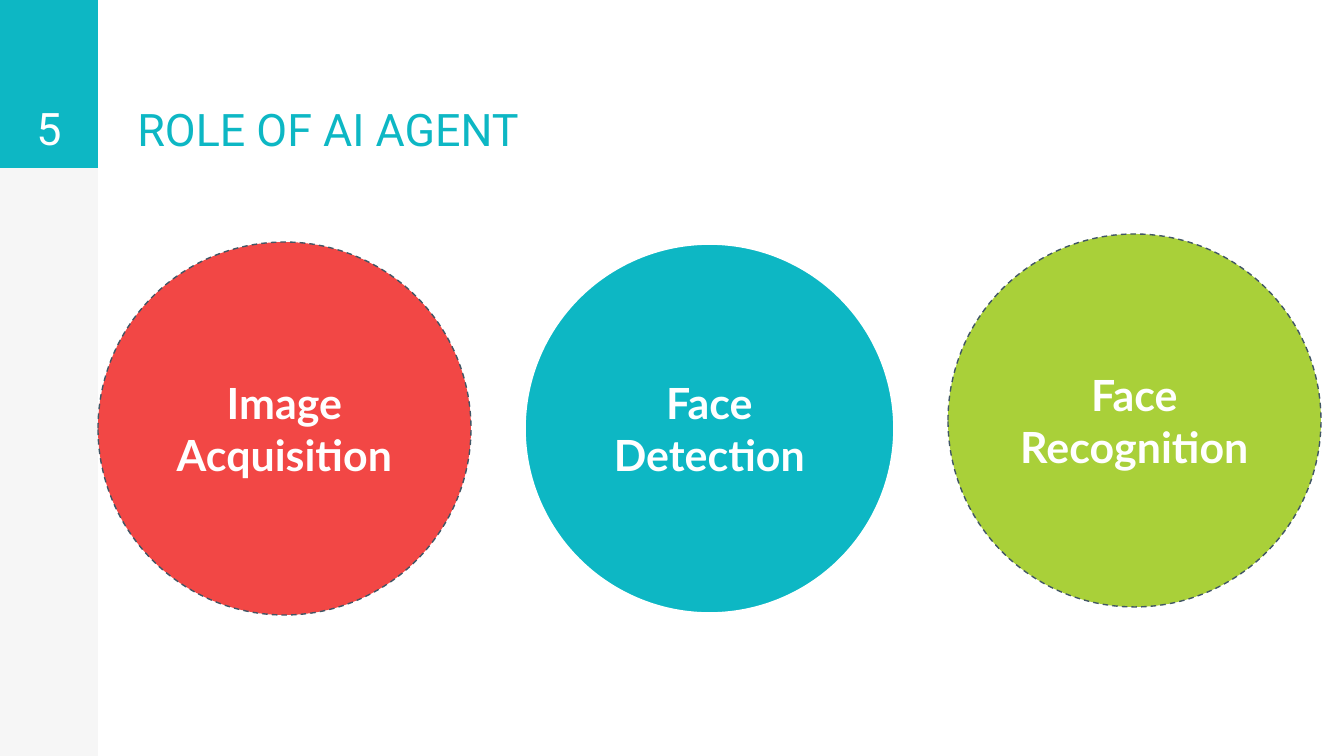
from pptx import Presentation
from pptx.dml.color import RGBColor
from pptx.enum.dml import MSO_LINE
from pptx.enum.shapes import MSO_SHAPE as SHAPE
from pptx.enum.text import MSO_ANCHOR as ANCHOR, PP_ALIGN as ALIGN
from pptx.util import Inches, Pt

# Content
TEAL, WHITE, SLATE = "0DB7C4", "FFFFFF", "415665"
TITLE = "ROLE OF AI AGENT"
NUMBER = "5"
SIDEBAR = [("F6F6F6", 756), (TEAL, 168)]  # colour, height
# text, left, top, fill, line colour, line width, dash
CIRCLES = [
    ("Image Acquisition", 98, 242, "F24745", SLATE, 0.75, MSO_LINE.DASH),
    ("Face Detection", 523, 242, TEAL, WHITE, 3, None),
    ("Face Recognition", 948, 234, "A9D039", SLATE, 0.75, MSO_LINE.DASH),
]
BAR_W, HEAD_H, DIAMETER = 98, 168, 373


def px(n):
    return Inches(n / 134.4)


def color(value):
    return RGBColor.from_string(value)


def add_shape(kind, x, y, w, h, fill):
    sp = s.shapes.add_shape(kind, px(x), px(y), px(w), px(h))
    sp.shadow.inherit = False
    sp.fill.solid()
    sp.fill.fore_color.rgb = color(fill)
    sp.line.fill.background()
    return sp


def write(sp, text, font, size, ink, anchor, align, bold=False):
    tf = sp.text_frame
    tf.word_wrap = True
    tf.vertical_anchor = anchor
    tf.margin_left = tf.margin_right = Inches(0.1)
    tf.margin_top = tf.margin_bottom = Inches(0.1)
    p = tf.paragraphs[0]
    p.alignment = align
    r = p.add_run()
    r.text = text
    r.font.name, r.font.size, r.font.bold = font, Pt(size), bold
    r.font.color.rgb = color(ink)


prs = Presentation()
prs.slide_width, prs.slide_height = px(1344), px(756)
s = prs.slides.add_slide(prs.slide_layouts[5])

# Sidebar
for fill, height in SIDEBAR:
    add_shape(SHAPE.RECTANGLE, 0, 0, BAR_W, height, fill)

# Title and slide number
title = s.shapes.title
title.left, title.top, title.width, title.height = px(124), px(1), px(523), px(HEAD_H)
write(title, TITLE, "Roboto", 24, TEAL, ANCHOR.BOTTOM, ALIGN.LEFT)
number = s.shapes.add_textbox(0, 0, px(BAR_W), px(HEAD_H))
write(number, NUMBER, "Roboto", 24, WHITE, ANCHOR.BOTTOM, ALIGN.CENTER)

# Circles
for text, x, y, fill, edge, width, dash in CIRCLES:
    sp = add_shape(SHAPE.OVAL, x, y, DIAMETER, DIAMETER, fill)
    sp.line.color.rgb = color(edge)
    sp.line.width = Pt(width)
    if dash:
        sp.line.dash_style = dash
    write(sp, text, "Lato", 23, WHITE, ANCHOR.MIDDLE, ALIGN.CENTER, True)

prs.save("out.pptx")
